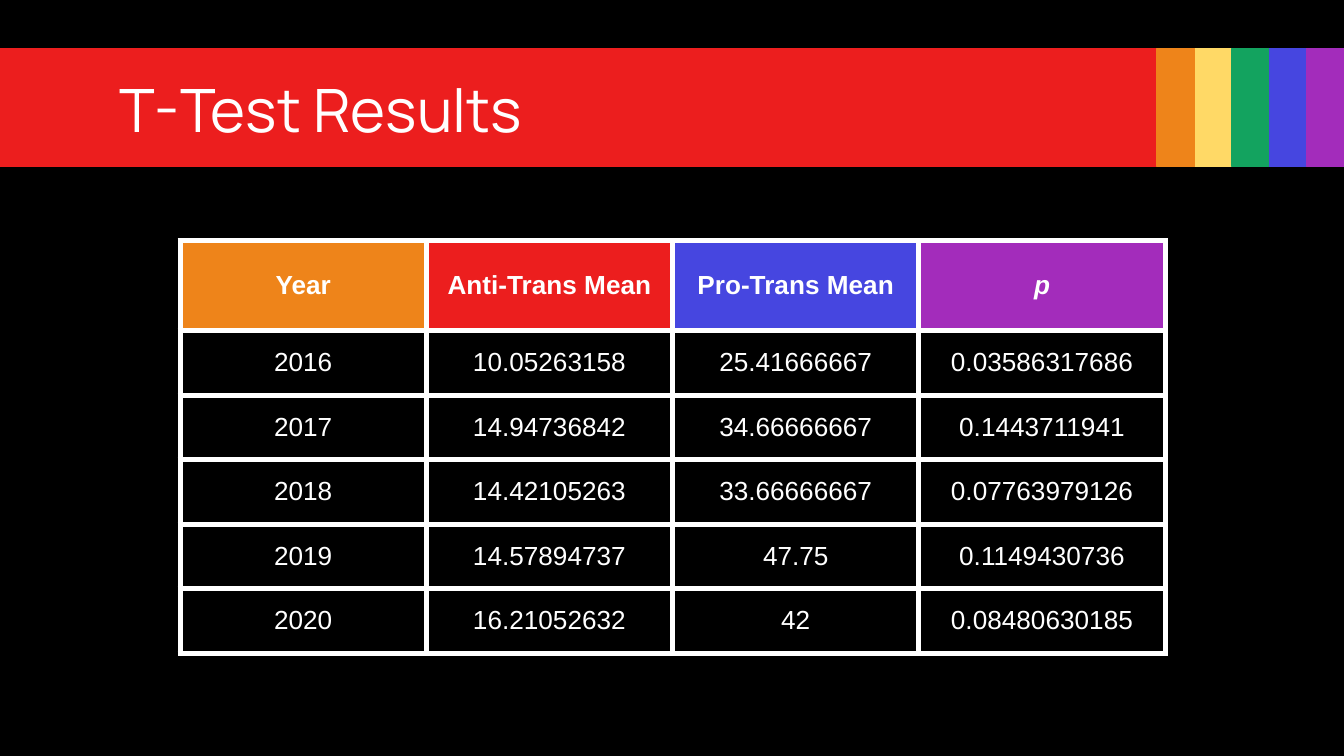
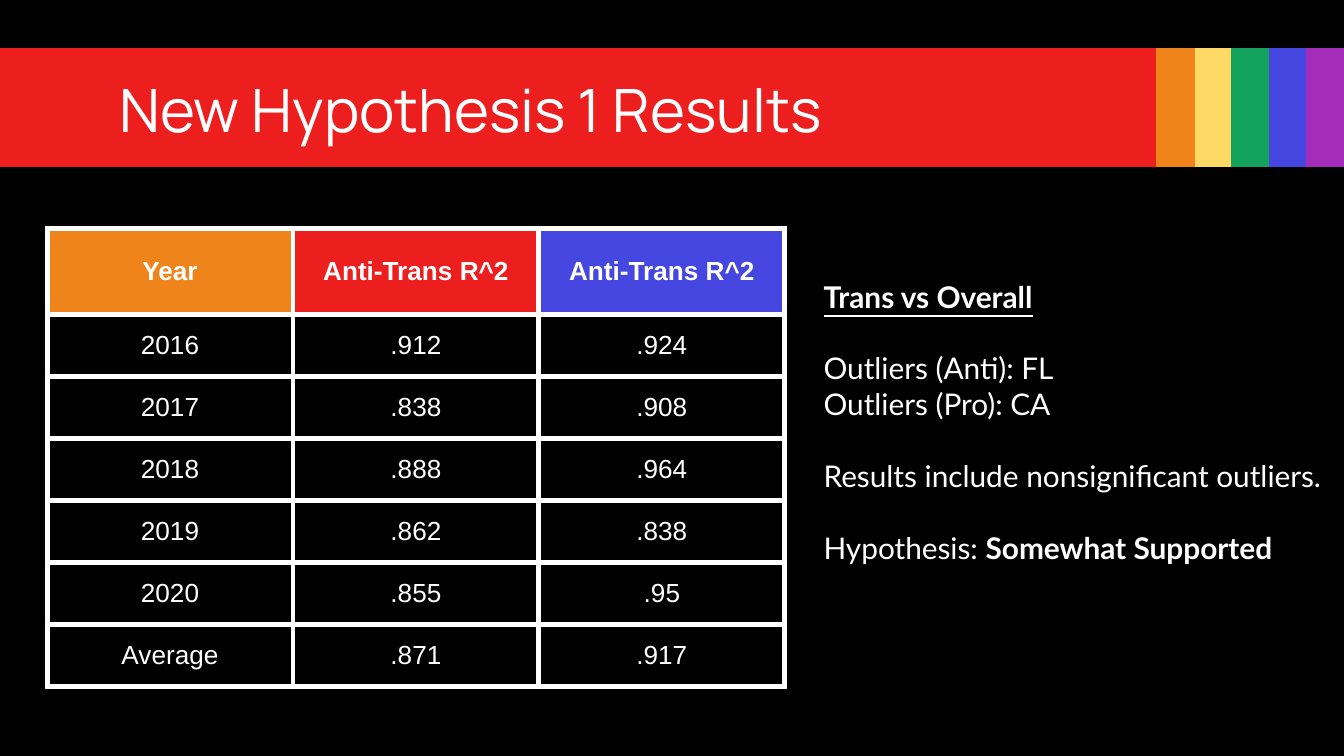
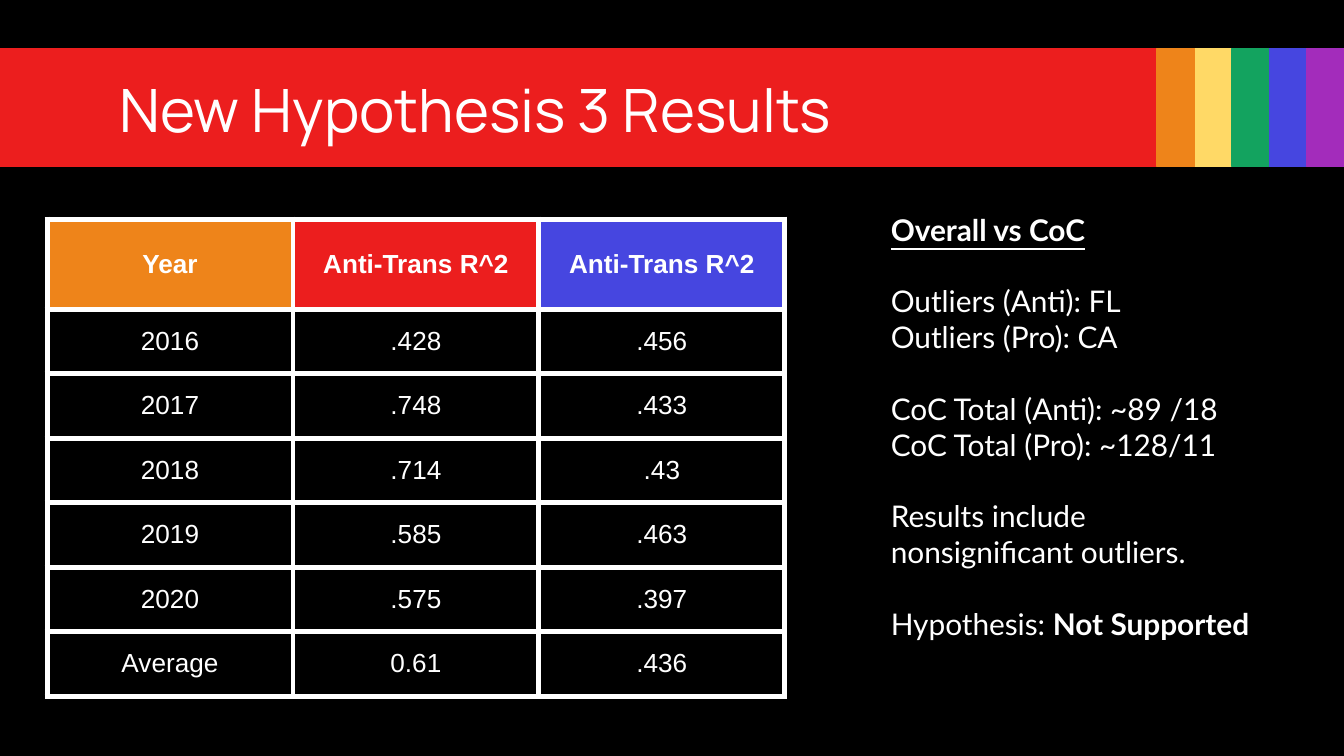
"""Build three slides of yearly test results under a rainbow title band."""

from dataclasses import dataclass

from lxml import etree
from pptx import Presentation
from pptx.dml.color import RGBColor
from pptx.enum.shapes import MSO_SHAPE
from pptx.enum.text import MSO_ANCHOR, PP_ALIGN
from pptx.oxml.ns import qn
from pptx.presentation import Presentation as Deck
from pptx.slide import Slide
from pptx.table import _Cell as Cell
from pptx.util import Inches, Pt

RECTANGLE = MSO_SHAPE.RECTANGLE
MIDDLE = MSO_ANCHOR.MIDDLE
CENTER = PP_ALIGN.CENTER
BLANK_LAYOUT = 6
SLIDE_WIDTH = 10
BORDER_TAGS = ("a:lnL", "a:lnR", "a:lnT", "a:lnB")


@dataclass(frozen=True)
class Theme:
    background: str = "000000"
    text: str = "FFFFFF"
    red: str = "EC1E1E"
    orange: str = "EE841A"
    yellow: str = "FFD966"
    green: str = "13A35F"
    blue: str = "4646E0"
    purple: str = "A32CBB"
    title_font: str = "Manrope"
    table_font: str = "Arial"
    body_font: str = "Lato"
    title_size: float = 32
    table_size: float = 14
    body_size: float = 16
    body_line: float = 19.2
    band_line: float = 0.75
    border: float = 3


THEME = Theme()
HEADER_FILLS = (THEME.orange, THEME.red, THEME.blue, THEME.purple)


@dataclass(frozen=True)
class Frame:
    left: float
    top: float
    width: float
    height: float

    def lengths(self) -> tuple:
        return tuple(map(Inches, (self.left, self.top, self.width, self.height)))


@dataclass(frozen=True)
class ResultTable:
    frame: Frame
    header_height: float
    headers: tuple[str, ...]
    rows: tuple[tuple[str, ...], ...]
    italic_header: str = ""


@dataclass(frozen=True)
class Findings:
    frame: Frame
    heading: str
    groups: tuple[tuple[str, ...], ...]
    verdict: str
    lines_below: int


@dataclass(frozen=True)
class ResultSlide:
    title: str
    table: ResultTable
    findings: Findings | None = None


TITLE_FRAME = Frame(0.79, 0.49, 8.43, 0.63)
BAND = Frame(0, 0.36, 8.61, 0.88)
STRIPES = (THEME.orange, THEME.yellow, THEME.green, THEME.blue, THEME.purple)
R2_HEADERS = ("Year", "Anti-Trans R^2", "Anti-Trans R^2")
OUTLIERS = ("Outliers (Anti): FL", "Outliers (Pro): CA")
CAVEAT = ("Results include nonsignificant outliers.",)

SLIDES = (
    ResultSlide(
        "T-Test Results",
        ResultTable(
            Frame(1.34, 1.79, 7.33, 3.07),
            0.67,
            ("Year", "Anti-Trans Mean", "Pro-Trans Mean", "p"),
            (
                ("2016", "10.05263158", "25.41666667", "0.03586317686"),
                ("2017", "14.94736842", "34.66666667", "0.1443711941"),
                ("2018", "14.42105263", "33.66666667", "0.07763979126"),
                ("2019", "14.57894737", "47.75", "0.1149430736"),
                ("2020", "16.21052632", "42", "0.08480630185"),
            ),
            italic_header="p",
        ),
    ),
    ResultSlide(
        "New Hypothesis 1 Results",
        ResultTable(
            Frame(0.35, 1.7, 5.49, 3.41),
            0.64,
            R2_HEADERS,
            (
                ("2016", ".912", ".924"),
                ("2017", ".838", ".908"),
                ("2018", ".888", ".964"),
                ("2019", ".862", ".838"),
                ("2020", ".855", ".95"),
                ("Average", ".871", ".917"),
            ),
        ),
        Findings(
            Frame(6.03, 1.83, 3.97, 3.15),
            "Trans vs Overall",
            (OUTLIERS, CAVEAT),
            "Somewhat Supported",
            lines_below=2,
        ),
    ),
    ResultSlide(
        "New Hypothesis 3 Results",
        ResultTable(
            Frame(0.35, 1.63, 5.49, 3.55),
            0.67,
            R2_HEADERS,
            (
                ("2016", ".428", ".456"),
                ("2017", ".748", ".433"),
                ("2018", ".714", ".43"),
                ("2019", ".585", ".463"),
                ("2020", ".575", ".397"),
                ("Average", "0.61", ".436"),
            ),
        ),
        Findings(
            Frame(6.53, 1.63, 3.02, 3.35),
            "Overall vs CoC",
            (
                OUTLIERS,
                ("CoC Total (Anti): ~89 /18", "CoC Total (Pro): ~128/11"),
                CAVEAT,
            ),
            "Not Supported",
            lines_below=1,
        ),
    ),
)


def style_font(font, name: str, size: float, bold: bool = False) -> None:
    font.name = name
    font.size = Pt(size)
    font.bold = bold
    font.color.rgb = RGBColor.from_string(THEME.text)


def add_text_frame(page: Slide, frame: Frame):
    text_frame = page.shapes.add_textbox(*frame.lengths()).text_frame
    text_frame.word_wrap = True
    text_frame.vertical_anchor = MIDDLE
    text_frame.margin_left = text_frame.margin_right = Inches(0.1)
    text_frame.margin_top = text_frame.margin_bottom = Inches(0.1)
    return text_frame


def add_block(page: Slide, frame: Frame, colour: str) -> None:
    block = page.shapes.add_shape(RECTANGLE, *frame.lengths())
    block.shadow.inherit = False
    block.fill.solid()
    block.fill.fore_color.rgb = RGBColor.from_string(colour)
    block.line.color.rgb = RGBColor.from_string(colour)
    block.line.width = Pt(THEME.band_line)


def add_title_band(page: Slide, title: str) -> None:
    add_block(page, BAND, THEME.red)
    stripe_width = (SLIDE_WIDTH - BAND.width) / len(STRIPES)
    stripes = [
        (Frame(BAND.width + slot * stripe_width, BAND.top, stripe_width, BAND.height), colour)
        for slot, colour in enumerate(STRIPES)
    ]
    for frame, colour in stripes[1:] + stripes[:1]:
        add_block(page, frame, colour)
    text_frame = add_text_frame(page, TITLE_FRAME)
    text_frame.text = title
    style_font(text_frame.paragraphs[0].runs[0].font, THEME.title_font, THEME.title_size)


def set_borders(cell: Cell) -> None:
    properties = cell._tc.get_or_add_tcPr()
    for tag in BORDER_TAGS:
        border = etree.SubElement(properties, qn(tag), w=str(Pt(THEME.border)))
        fill = etree.SubElement(border, qn("a:solidFill"))
        etree.SubElement(fill, qn("a:srgbClr"), val=THEME.text)


def fill_cell(cell: Cell, text: str, fill: str | None, italic: bool) -> None:
    set_borders(cell)
    if fill:
        cell.fill.solid()
        cell.fill.fore_color.rgb = RGBColor.from_string(fill)
    else:
        cell.fill.background()
    cell.vertical_anchor = MIDDLE
    cell.text_frame.text = text
    para = cell.text_frame.paragraphs[0]
    para.alignment = CENTER
    font = para.runs[0].font
    style_font(font, THEME.table_font, THEME.table_size, bold=fill is not None)
    font.italic = italic


def add_result_table(page: Slide, result: ResultTable) -> None:
    lines = (result.headers, *result.rows)
    table = page.shapes.add_table(
        len(lines), len(result.headers), *result.frame.lengths()
    ).table
    table.first_row = False
    table.horz_banding = False
    for column in table.columns:
        column.width = Inches(result.frame.width / len(result.headers))
    body_height = (result.frame.height - result.header_height) / len(result.rows)
    for row_index, values in enumerate(lines):
        is_header = row_index == 0
        table.rows[row_index].height = Inches(
            result.header_height if is_header else body_height
        )
        for column_index, text in enumerate(values):
            fill_cell(
                table.cell(row_index, column_index),
                text,
                HEADER_FILLS[column_index] if is_header else None,
                is_header and text == result.italic_header,
            )


def add_findings(page: Slide, findings: Findings) -> None:
    text_frame = add_text_frame(page, findings.frame)
    text_frame.margin_bottom += Pt(findings.lines_below * THEME.body_line)
    text_frame.text = findings.heading
    heading = text_frame.paragraphs[0].runs[0].font
    style_font(heading, THEME.body_font, THEME.body_size, bold=True)
    heading.underline = True
    for group in (*findings.groups, ("Hypothesis: ",)):
        for index, text in enumerate(group):
            para = text_frame.add_paragraph()
            para.text = text
            para.space_before = Pt(0 if index else THEME.body_line)
            style_font(para.runs[0].font, THEME.body_font, THEME.body_size)
    span = text_frame.paragraphs[-1].add_run()
    span.text = findings.verdict
    style_font(span.font, THEME.body_font, THEME.body_size, bold=True)


def add_result_slide(deck: Deck, content: ResultSlide) -> None:
    page = deck.slides.add_slide(deck.slide_layouts[BLANK_LAYOUT])
    page.background.fill.solid()
    page.background.fill.fore_color.rgb = RGBColor.from_string(THEME.background)
    add_title_band(page, content.title)
    add_result_table(page, content.table)
    if content.findings:
        add_findings(page, content.findings)


def main() -> None:
    deck = Presentation()
    deck.slide_width = Inches(SLIDE_WIDTH)
    deck.slide_height = Inches(SLIDE_WIDTH * 9 / 16)
    for content in SLIDES:
        add_result_slide(deck, content)
    deck.save("out.pptx")


if __name__ == "__main__":
    main()
